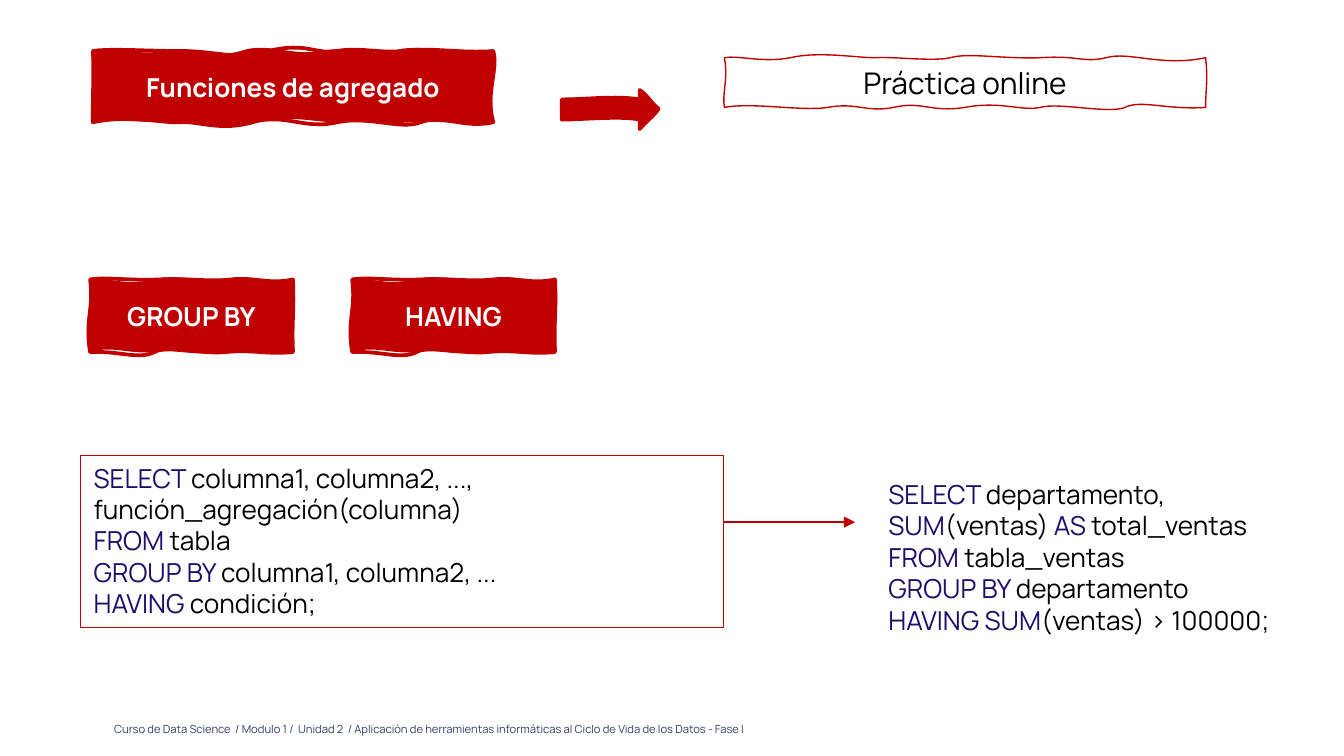
from copy import deepcopy
from dataclasses import dataclass
from itertools import cycle
from typing import Optional

from lxml.etree import SubElement
from pptx import Presentation
from pptx.dml.color import RGBColor
from pptx.enum.shapes import MSO_CONNECTOR, MSO_SHAPE
from pptx.enum.text import MSO_ANCHOR as Anchor, MSO_AUTO_SIZE as AutoSize, PP_ALIGN as Align
from pptx.oxml.ns import qn
from pptx.util import Cm, Pt

RED = RGBColor(0xC0, 0x00, 0x00)
WHITE = RGBColor(0xFF, 0xFF, 0xFF)
BLACK = RGBColor(0x00, 0x00, 0x00)
KEYWORD = RGBColor(0x20, 0x0C, 0x6A)
FOOTER = RGBColor(0x30, 0x42, 0x69)
FONT = "Manrope"
GRID_CM = 0.0254

Outline = tuple[int, ...]
Point = tuple[int, int]


@dataclass(frozen=True)
class Sketch:
    outlines: tuple[Outline, ...]
    label: str = ""
    shift: int = 0
    size: float = 14
    color: RGBColor = WHITE
    bold: bool = True
    fill: Optional[RGBColor] = RED
    line_width: float = 2


@dataclass(frozen=True)
class Query:
    left: float
    top: float
    width: float
    height: float
    lines: tuple[tuple[str, ...], ...]
    framed: bool = False


ARROW = (
    (418, 74, 438, 74, 457, 71, 476, 74, 476, 70, 476, 70, 476, 67, 483, 72, 483, 75, 490, 81,
     486, 87, 480, 91, 476, 96, 476, 93, 476, 91, 476, 89, 463, 86, 432, 89, 418, 89,
     418, 84, 418, 78, 418, 74),
    (418, 74, 438, 74, 459, 73, 476, 74, 476, 72, 476, 68, 476, 67, 479, 71, 484, 76, 490, 81,
     485, 86, 481, 91, 476, 96, 476, 93, 476, 92, 476, 89, 455, 88, 437, 86, 418, 89,
     419, 84, 418, 78, 418, 74),
)
HEADING = (
    (69, 38, 83, 36, 107, 38, 134, 38, 162, 38, 172, 45, 200, 38, 228, 31, 235, 41, 251, 38,
     267, 35, 284, 40, 301, 38, 319, 35, 344, 40, 367, 38, 371, 52, 361, 69, 367, 91,
     346, 96, 329, 85, 313, 91, 298, 97, 275, 86, 251, 91, 227, 97, 212, 84, 188, 91,
     164, 98, 148, 90, 134, 91, 121, 92, 99, 85, 69, 91, 69, 68, 70, 50, 69, 38),
    (69, 38, 84, 33, 103, 42, 120, 38, 136, 33, 160, 44, 179, 38, 199, 31, 216, 42, 239, 38,
     262, 33, 280, 43, 293, 38, 305, 32, 347, 40, 367, 38, 369, 62, 363, 66, 367, 91,
     350, 93, 336, 90, 307, 91, 279, 93, 272, 90, 254, 91, 236, 92, 220, 85, 188, 91,
     156, 97, 160, 90, 134, 91, 109, 92, 86, 88, 69, 91, 67, 71, 74, 58, 69, 38),
)
CLAUSE = (
    (67, 208, 80, 206, 94, 209, 119, 208, 144, 207, 154, 210, 172, 208, 190, 206, 200, 212, 218, 208,
     219, 235, 217, 238, 218, 262, 198, 264, 188, 260, 168, 262, 148, 264, 126, 256, 115, 262,
     103, 268, 89, 261, 67, 262, 63, 237, 70, 231, 67, 208),
    (67, 208, 88, 207, 94, 213, 113, 208, 133, 203, 150, 211, 163, 208, 177, 206, 193, 210, 218, 208,
     223, 234, 214, 236, 218, 262, 205, 264, 190, 258, 165, 262, 140, 265, 136, 260, 116, 262,
     96, 264, 84, 257, 67, 262, 62, 248, 71, 233, 67, 208),
)
PRACTICE = (
    (539, 43, 550, 41, 567, 47, 588, 43, 609, 38, 637, 43, 651, 43, 665, 42, 694, 46, 707, 43,
     720, 39, 746, 44, 774, 43, 802, 41, 806, 47, 823, 43, 840, 38, 864, 50, 897, 43,
     899, 60, 897, 67, 897, 80, 868, 82, 849, 74, 837, 80, 825, 85, 788, 76, 774, 80,
     761, 83, 744, 75, 718, 80, 692, 84, 686, 75, 665, 80, 645, 84, 637, 76, 616, 80,
     596, 83, 560, 76, 539, 80, 537, 70, 542, 59, 539, 43),
)

SKETCHES = (
    Sketch(ARROW),
    Sketch(HEADING, "Funciones de agregado"),
    Sketch(CLAUSE, "GROUP BY"),
    Sketch(CLAUSE, "HAVING", shift=195),
)
PRACTICE_LABEL = Sketch(PRACTICE, "Práctica online", size=16, color=BLACK, bold=False,
                        fill=None, line_width=0.75)
SYNTAX = Query(1.52, 8.61, 12.16, 3.25, (
    ("SELECT ", "columna1, columna2, ..., función_agregación(columna)"),
    ("FROM ", "tabla"),
    ("GROUP BY ", "columna1, columna2, ..."),
    ("HAVING ", "condición;"),
), framed=True)
EXAMPLE = Query(16.54, 8.92, 8.86, 3.25, (
    ("SELECT ", "departamento, ", "SUM", "(ventas)", " AS ", "total_ventas"),
    ("FROM ", "tabla_ventas"),
    ("GROUP BY ", "departamento"),
    ("HAVING SUM", "(ventas) > 100000;"),
))


def add_run(paragraph, text: str, size: float, color: RGBColor, bold: bool = False) -> None:
    run = paragraph.add_run()
    run.text = text
    run.font.name = FONT
    run.font.size = Pt(size)
    run.font.bold = bold
    run.font.color.rgb = color


def to_points(outline: Outline, shift: int) -> list[Point]:
    return [(Cm((x + shift) * GRID_CM), Cm(y * GRID_CM))
            for x, y in zip(outline[::2], outline[1::2])]


def bend_segments(shape, contours: list[list[Point]]) -> None:
    controls = [points[i:i + 2] for points in contours for i in range(1, len(points), 3)]
    for segment, pair in zip(list(shape._element.iter(qn("a:lnTo"))), controls):
        segment.tag = qn("a:cubicBezTo")
        for position, (x, y) in enumerate(pair):
            point = deepcopy(segment[-1])
            point.set("x", str(x - shape.left))
            point.set("y", str(y - shape.top))
            segment.insert(position, point)


def split_stroke_and_fill(shape) -> None:
    stroke = next(shape._element.iter(qn("a:path")))
    fill = deepcopy(stroke)
    stroke.addnext(fill)
    half = len(stroke) // 2
    for part in stroke[half:]:
        stroke.remove(part)
    for part in fill[:half]:
        fill.remove(part)
    stroke.set("fill", "none")
    fill.set("stroke", "0")


def draw_sketch(slide, sketch: Sketch) -> None:
    contours = [to_points(outline, sketch.shift) for outline in sketch.outlines]
    builder = slide.shapes.build_freeform(*contours[0][0])
    for i, contour in enumerate(contours):
        if i:
            builder.move_to(*contour[0])
        builder.add_line_segments(contour[3::3], close=True)
    shape = builder.convert_to_shape()
    bend_segments(shape, contours)
    if len(contours) == 2:
        split_stroke_and_fill(shape)
    shape.shadow.inherit = False
    if sketch.fill is None:
        shape.fill.background()
    else:
        shape.fill.solid()
        shape.fill.fore_color.rgb = sketch.fill
    shape.line.color.rgb = RED
    shape.line.width = Pt(sketch.line_width)
    if sketch.label:
        frame = shape.text_frame
        frame.word_wrap = True
        frame.vertical_anchor = Anchor.MIDDLE
        frame.paragraphs[0].alignment = Align.CENTER
        add_run(frame.paragraphs[0], sketch.label, sketch.size, sketch.color, sketch.bold)


def draw_query(slide, query: Query) -> None:
    place = [Cm(v) for v in (query.left, query.top, query.width, query.height)]
    if query.framed:
        box = slide.shapes.add_shape(MSO_SHAPE.RECTANGLE, *place)
        box.shadow.inherit = False
        box.fill.background()
        box.line.color.rgb = RED
        box.line.width = Pt(0.75)
    else:
        box = slide.shapes.add_textbox(*place)
    frame = box.text_frame
    frame.word_wrap = True
    frame.auto_size = AutoSize.SHAPE_TO_FIT_TEXT
    frame.vertical_anchor = Anchor.TOP
    for i, line in enumerate(query.lines):
        paragraph = frame.add_paragraph() if i else frame.paragraphs[0]
        paragraph.alignment = Align.LEFT
        for text, color in zip(line, cycle((KEYWORD, BLACK))):
            add_run(paragraph, text, 14, color)


def draw_link(slide, start: float, end: float, y: float) -> None:
    link = slide.shapes.add_connector(MSO_CONNECTOR.STRAIGHT, Cm(start), Cm(y), Cm(end), Cm(y))
    link.line.color.rgb = RED
    link.line.width = Pt(1)
    SubElement(link.line._get_or_add_ln(), qn("a:tailEnd"), type="triangle")
    SubElement(link._element.spPr, qn("a:effectLst"))


def draw_footer(slide, text: str) -> None:
    frame = slide.shapes.add_textbox(Cm(1.91), Cm(13.41), Cm(17.12), Cm(0.61)).text_frame
    frame.word_wrap = True
    frame.margin_left = frame.margin_right = frame.margin_top = Cm(0.25)
    frame.margin_bottom = Cm(0)
    add_run(frame.paragraphs[0], text, 6, FOOTER)


def main() -> None:
    deck = Presentation()
    deck.slide_width, deck.slide_height = Cm(25.4), Cm(14.29)
    slide = deck.slides.add_slide(deck.slide_layouts[6])
    draw_footer(slide, "Curso de Data Science  / Modulo 1 /  Unidad 2  / "
                       "Aplicación de herramientas informáticas al Ciclo de Vida de los Datos - Fase I")
    for sketch in SKETCHES:
        draw_sketch(slide, sketch)
    draw_query(slide, SYNTAX)
    draw_link(slide, SYNTAX.left + SYNTAX.width, 16.16, 9.87)
    draw_query(slide, EXAMPLE)
    draw_sketch(slide, PRACTICE_LABEL)
    deck.save("out.pptx")


if __name__ == "__main__":
    main()
